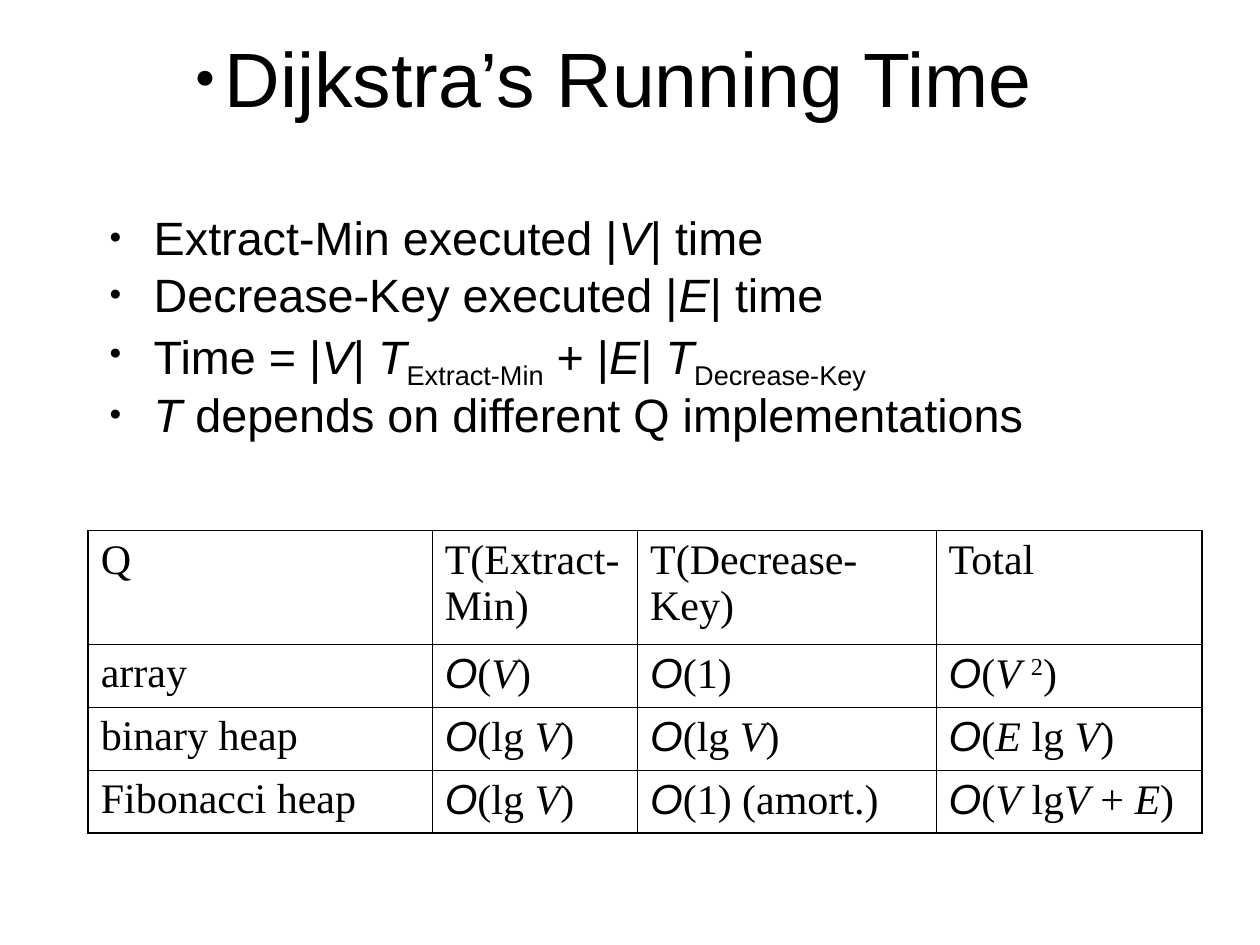
from lxml.etree import SubElement
from pptx import Presentation
from pptx.dml.color import RGBColor
from pptx.enum.text import MSO_ANCHOR as Anchor, PP_ALIGN as Align
from pptx.oxml.ns import qn
from pptx.util import Pt

COLORS = {"ink": "000000", "paper": "FFFFFF"}
SANS, SERIF = "Arial", "Times New Roman"
BASELINES = {"sub": -25000, "sup": 30000}
THIN, THICK = 0.45, 1.08

BIG_O = ("Ο", "order")
LG_V = [BIG_O, ("(lg ", ""), ("V", "italic"), (")", "")]
BULLETS = [
    [("Extract-Min executed |", ""), ("V", "italic"), ("| time", "")],
    [("Decrease-Key executed |", ""), ("E", "italic"), ("| time", "")],
    [("Time = |", ""), ("V", "italic"), ("| ", ""), ("T", "italic"), ("Extract-Min", "sub"),
     (" + |", ""), ("E", "italic"), ("| ", ""), ("T", "italic"), ("Decrease-Key", "sub")],
    [("T", "italic"), (" depends on different Q implementations", "")],
]
COLUMN_WIDTHS = [196.56, 117.36, 170.64, 151.92]
ROW_HEIGHTS = [64.8, 36, 36, 36]
ROWS = [
    [[("Q", "")], [("T(Extract-Min)", "")], [("T(Decrease-Key)", "")], [("Total", "")]],
    [[("array", "")],
     [BIG_O, ("(", ""), ("V", "italic"), (")", "")],
     [BIG_O, ("(1)", "")],
     [BIG_O, ("(", ""), ("V ", "italic"), ("2", "sup"), (")", "")]],
    [[("binary heap", "")], LG_V, LG_V,
     [BIG_O, ("(", ""), ("E", "italic"), (" lg ", ""), ("V", "italic"), (")", "")]],
    [[("Fibonacci heap", "")], LG_V,
     [BIG_O, ("(1) (amort.)", "")],
     [BIG_O, ("(", ""), ("V", "italic"), (" lg", ""), ("V", "italic"), (" + ", ""),
      ("E", "italic"), (")", "")]],
]


def add_runs(paragraph, runs, font_name, size):
    """Write (text, style) pairs into a paragraph."""
    for text, style in runs:
        run = paragraph.add_run()
        run.text = text
        run.font.name = SANS if style == "order" else font_name
        run.font.size = Pt(size)
        run.font.italic = style in ("italic", "order")
        run.font.color.rgb = RGBColor.from_string(COLORS["ink"])
        if style in BASELINES:
            run._r.get_or_add_rPr().set("baseline", str(BASELINES[style]))


def add_bullet(paragraph, left, hang):
    """Give a paragraph a small round bullet and a hanging indent."""
    properties = paragraph._p.get_or_add_pPr()
    properties.set("marL", str(Pt(left)))
    properties.set("indent", str(-Pt(hang)))
    color = SubElement(properties, qn("a:buClr"))
    SubElement(color, qn("a:srgbClr"), val=COLORS["ink"])
    SubElement(properties, qn("a:buSzPct"), val="45000")
    SubElement(properties, qn("a:buFont"), typeface=SANS)
    SubElement(properties, qn("a:buChar"), char="●")


def add_text_frame(slide, left, top, width, height):
    """Add a wrapping text box and return its text frame."""
    shape = slide.shapes.add_textbox(Pt(left), Pt(top), Pt(width), Pt(height))
    shape.text_frame.word_wrap = True
    return shape.text_frame


def add_title(slide, left, top, width, height):
    """Place the centred, bulleted title."""
    frame = add_text_frame(slide, left, top, width, height)
    frame.vertical_anchor = Anchor.MIDDLE
    paragraph = frame.paragraphs[0]
    paragraph.alignment = Align.CENTER
    add_bullet(paragraph, 17, 17)
    add_runs(paragraph, [("Dijkstra’s Running Time", "")], SANS, 44)


def add_bullet_list(slide, left, top, width, height):
    """Place the list of cost statements."""
    frame = add_text_frame(slide, left, top, width, height)
    for index, runs in enumerate(BULLETS):
        paragraph = frame.add_paragraph() if index else frame.paragraphs[0]
        paragraph.line_spacing = 0.8
        paragraph.space_before = Pt(7)
        add_bullet(paragraph, 34, 25.5)
        add_runs(paragraph, runs, SANS, 26.7)


def add_borders(cell, widths):
    """Draw the left, right, top and bottom borders of a cell."""
    properties = cell._tc.get_or_add_tcPr()
    for side, width in zip("LRTB", widths):
        line = SubElement(properties, qn(f"a:ln{side}"), w=str(Pt(width)))
        fill = SubElement(line, qn("a:solidFill"))
        SubElement(fill, qn("a:srgbClr"), val=COLORS["ink"])


def add_cost_table(slide, left, top, width, height):
    """Place the running times per queue implementation."""
    last_row, last_column = len(ROWS) - 1, len(COLUMN_WIDTHS) - 1
    table = slide.shapes.add_table(
        len(ROWS), len(COLUMN_WIDTHS), Pt(left), Pt(top), Pt(width), Pt(height)).table
    table.first_row = table.horz_banding = False
    for column, column_width in zip(table.columns, COLUMN_WIDTHS):
        column.width = Pt(column_width)
    for row, row_height in zip(table.rows, ROW_HEIGHTS):
        row.height = Pt(row_height)
    for i, row_runs in enumerate(ROWS):
        for j, runs in enumerate(row_runs):
            cell = table.cell(i, j)
            outer = (j == 0, j == last_column, i == 0, i == last_row)
            add_borders(cell, [THICK if edge else THIN for edge in outer])
            cell.fill.background()
            paragraph = cell.text_frame.paragraphs[0]
            paragraph.space_before = Pt(6)
            add_runs(paragraph, runs, SERIF, 24)


def main():
    """Build the slide and save it."""
    presentation = Presentation()
    presentation.slide_width, presentation.slide_height = Pt(720), Pt(540)
    slide = presentation.slides.add_slide(presentation.slide_layouts[6])
    slide.background.fill.solid()
    slide.background.fill.fore_color.rgb = RGBColor.from_string(COLORS["paper"])
    add_title(slide, 26.64, 7.92, 648, 71.28)
    add_bullet_list(slide, 46.8, 121.68, 658.08, 137.52)
    add_cost_table(slide, 50.4, 303.12, sum(COLUMN_WIDTHS), sum(ROW_HEIGHTS))
    presentation.save("out.pptx")


if __name__ == "__main__":
    main()
